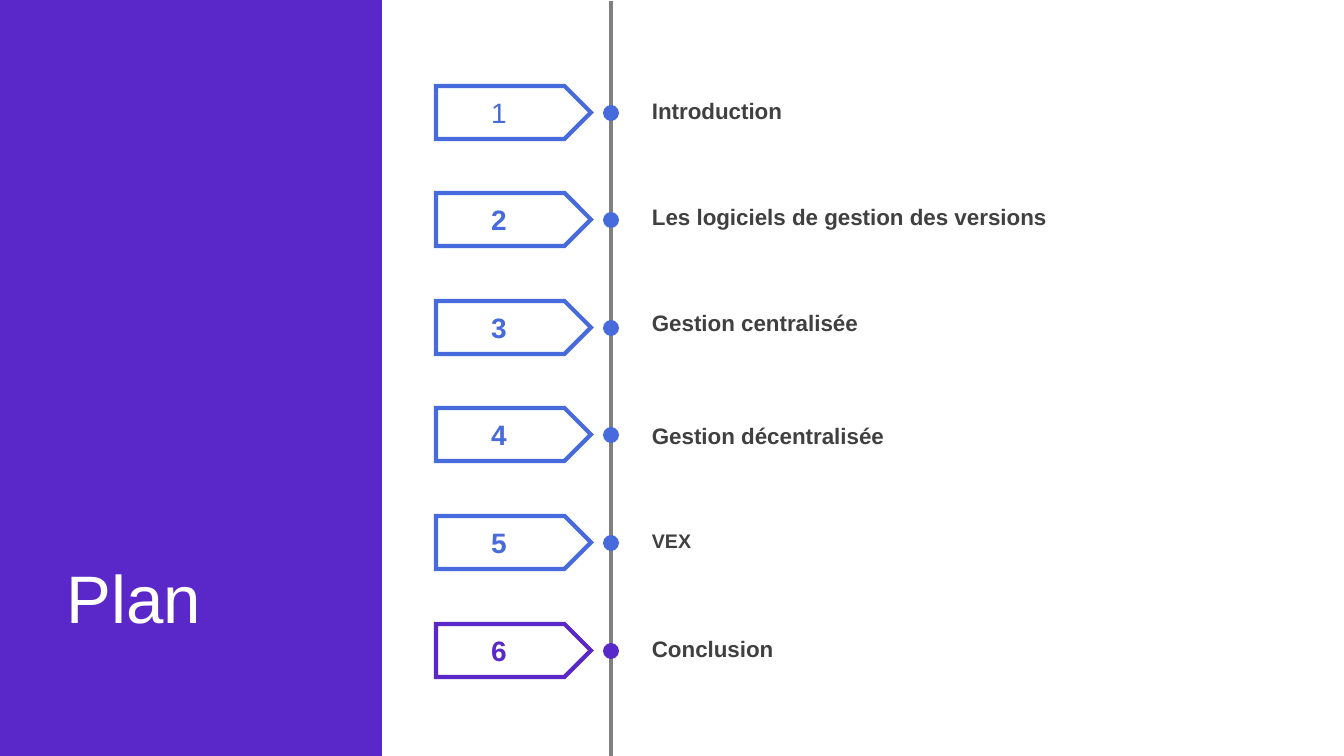
from lxml import etree
from pptx import Presentation
from pptx.dml.color import RGBColor
from pptx.enum.shapes import MSO_CONNECTOR as CONNECTOR, MSO_SHAPE as SHAPE
from pptx.enum.text import MSO_ANCHOR as ANCHOR, PP_ALIGN as ALIGN
from pptx.oxml.ns import qn
from pptx.util import Emu, Pt

PURPLE = RGBColor(0x5A, 0x28, 0xC8)
BLUE = RGBColor(0x47, 0x6A, 0xDD)
GREY = RGBColor(0x80, 0x80, 0x80)
DARK = RGBColor(0x40, 0x40, 0x40)
WHITE = RGBColor(0xFF, 0xFF, 0xFF)


def px(*lengths):
    """Turn pixels (1344 across the slide) into EMU."""
    return [Emu(round(length * 914400 / 100.8)) for length in lengths]


def add_label(frame_px, text, size, color, bold=False, align=ALIGN.LEFT, spacing=1.0):
    box = page.shapes.add_textbox(*px(*frame_px))
    frame = box.text_frame
    frame.word_wrap = True
    frame.vertical_anchor = ANCHOR.MIDDLE
    para = frame.paragraphs[0]
    para.text = text
    para.alignment = align
    para.line_spacing = spacing
    font = para.font
    font.name, font.size, font.bold = "Arial", Pt(size), bold
    font.color.rgb = color


deck = Presentation()
deck.slide_width, deck.slide_height = px(1344, 756)
page = deck.slides.add_slide(deck.slide_layouts[6])

panel = page.shapes.add_shape(SHAPE.RECTANGLE, *px(0, 0, 382, 756))
panel.shadow.inherit = False
panel.fill.solid()
panel.fill.fore_color.rgb = PURPLE
panel.line.fill.background()
add_label((57, 503, 338, 198), "Plan", 48, WHITE, spacing=0.9)

timeline = page.shapes.add_connector(CONNECTOR.STRAIGHT, *px(611, 1, 611, 756))
timeline.line.color.rgb = GREY
timeline.line.width = Pt(3)
etree.SubElement(timeline._element.spPr, qn("a:effectLst"))

# Title, text size, vertical centre of the title
chapters = [
    ("Introduction", 16, 110),
    ("Les logiciels de gestion des versions", 16, 216),
    ("Gestion centralisée", 16, 322),
    ("Gestion décentralisée", 16, 435),
    ("VEX", 14, 540),
    ("Conclusion", 16, 648),
]
FIRST_TOP, LAST_TOP = 86, 624

for index, (title, size, middle) in enumerate(chapters):
    top = FIRST_TOP + (LAST_TOP - FIRST_TOP) * index // (len(chapters) - 1)
    color = PURPLE if index == len(chapters) - 1 else BLUE

    arrow = page.shapes.add_shape(SHAPE.PENTAGON, *px(436, top, 155, 53))
    arrow.shadow.inherit = False
    arrow.fill.solid()
    arrow.fill.fore_color.rgb = WHITE
    arrow.line.color.rgb = color
    arrow.line.width = Pt(3)
    etree.SubElement(arrow.line._get_or_add_ln(), qn("a:miter"), lim="800000")

    dot = page.shapes.add_shape(SHAPE.OVAL, *px(603, top + 19, 16, 16))
    dot.shadow.inherit = False
    dot.fill.solid()
    dot.fill.fore_color.rgb = color
    dot.line.fill.background()

    add_label((452, top + 4, 94, 44), str(index + 1), 20, color, index > 0, ALIGN.CENTER)
    add_label((642, middle - 18, 637, 37), title, size, DARK, True)

deck.save("out.pptx")
